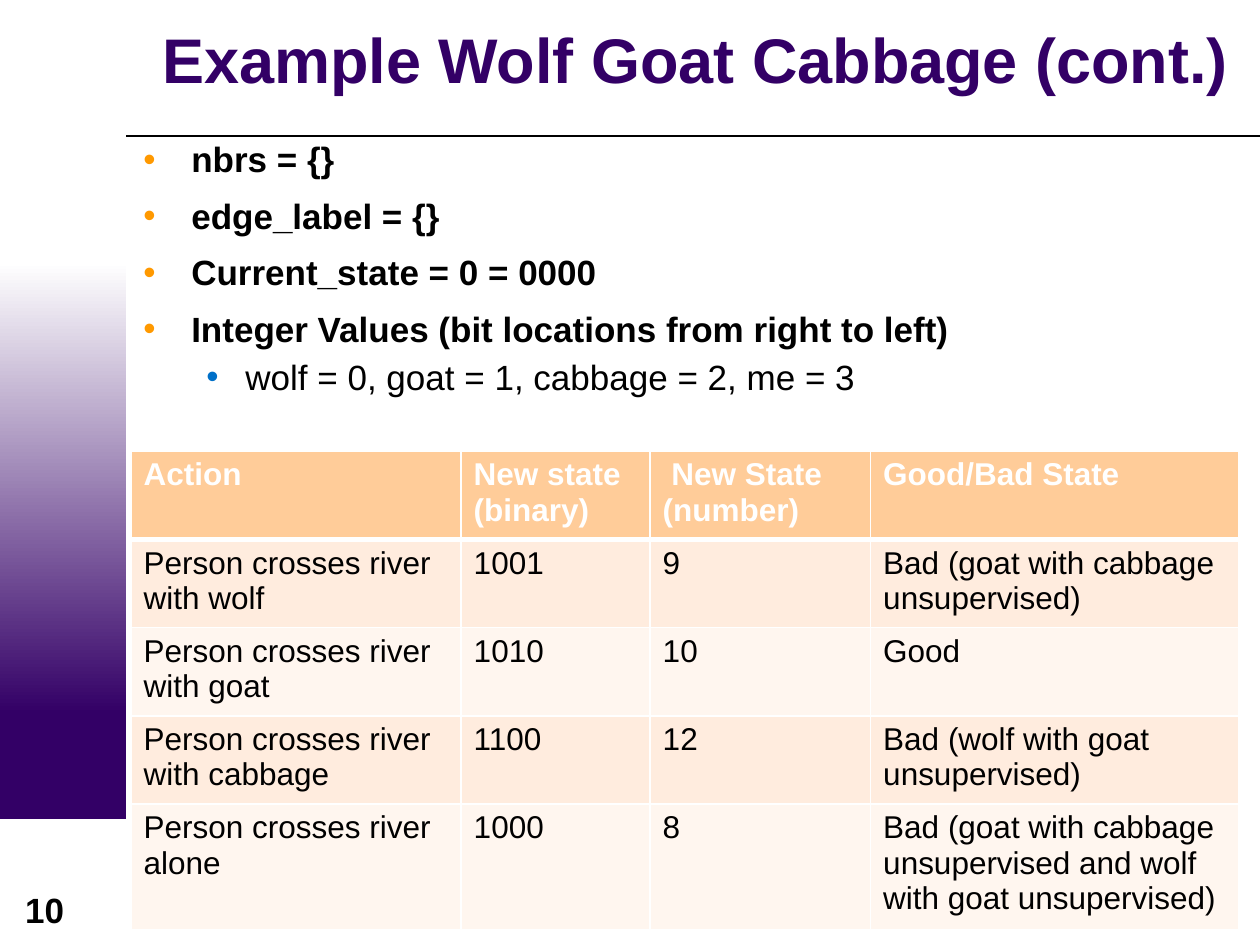
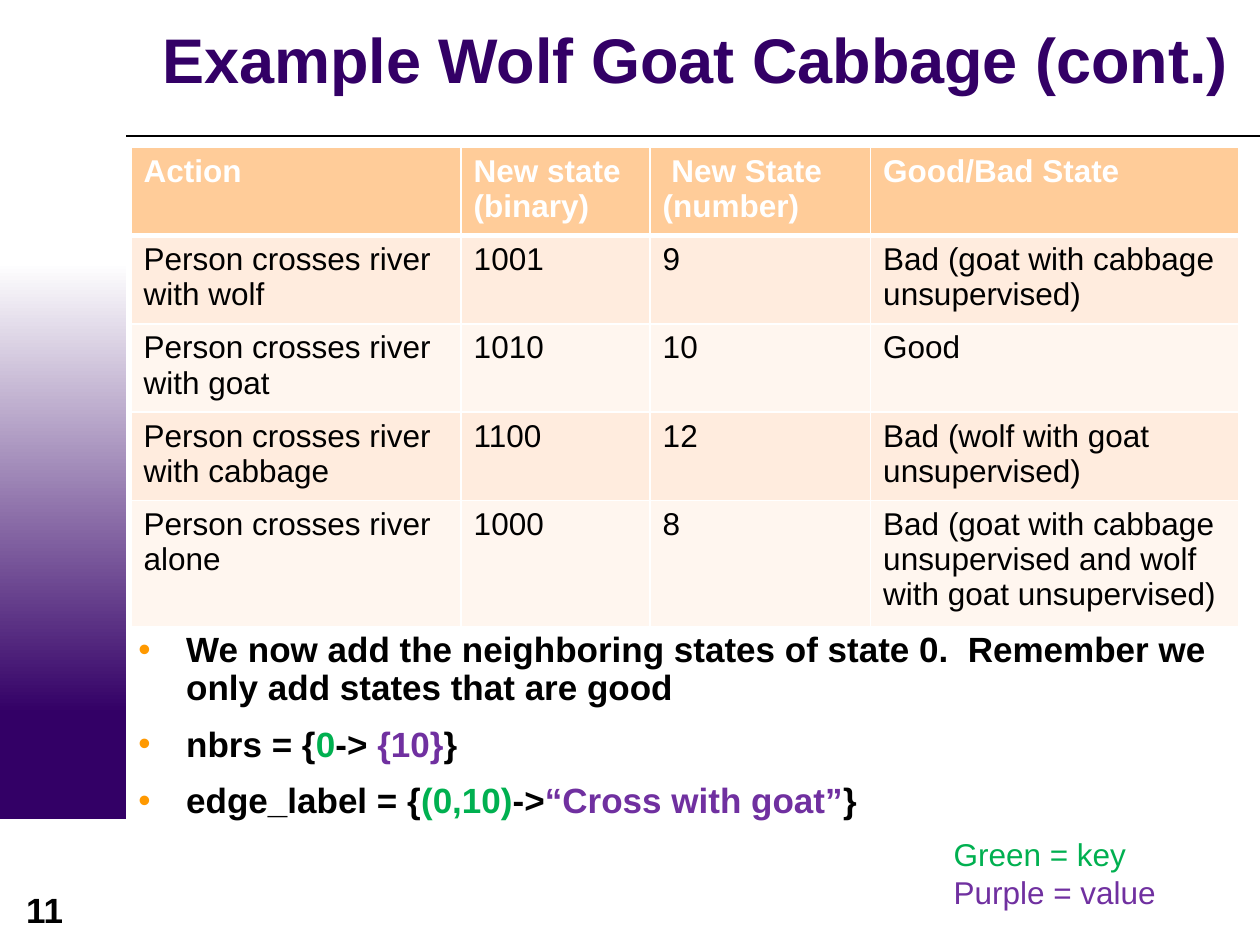
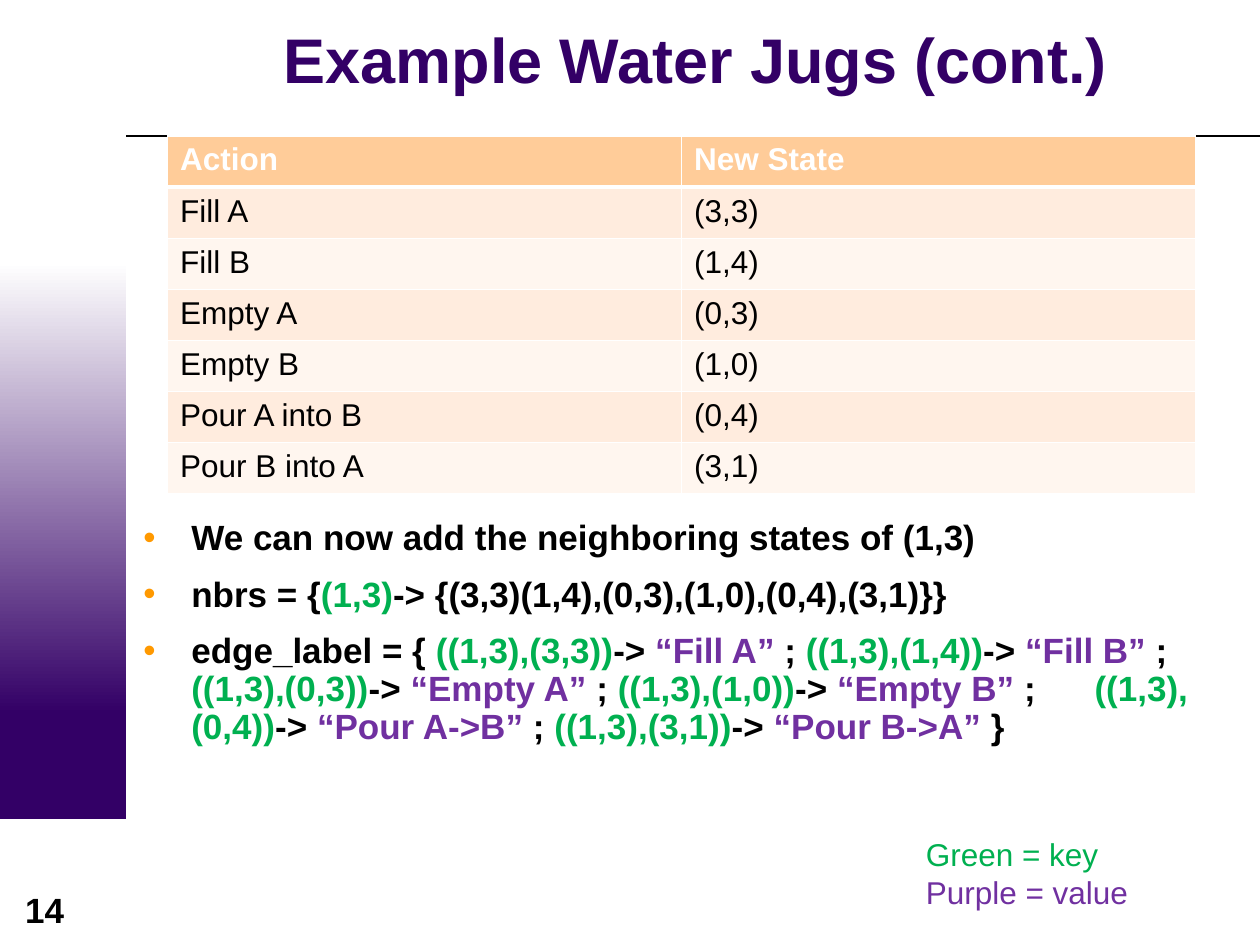
from lxml.etree import SubElement
from pptx import Presentation
from pptx.dml.color import RGBColor
from pptx.enum.shapes import MSO_CONNECTOR, MSO_SHAPE
from pptx.enum.text import MSO_ANCHOR, PP_ALIGN
from pptx.oxml.ns import qn
from pptx.util import Inches, Pt

PURPLE = RGBColor(0x33, 0x00, 0x66)
WHITE = RGBColor(0xFF, 0xFF, 0xFF)
BLACK = RGBColor(0x00, 0x00, 0x00)
ORANGE = RGBColor(0xFF, 0x99, 0x00)
BLUE = RGBColor(0x00, 0x70, 0xC8)
HEADER_FILL = RGBColor(0xFF, 0xCC, 0x99)
ROW_FILLS = (RGBColor(0xFF, 0xF6, 0xEF), RGBColor(0xFF, 0xEC, 0xDE))
KEY = RGBColor(0x00, 0xB0, 0x50)
VALUE = RGBColor(0x70, 0x30, 0xA0)

FONT = "Arial"
ROW_HEIGHT = 2.84 / 7
CROSSING_COLUMNS = (2.62, 1.5, 1.75, 2.92)
JUG_COLUMNS = (4.08, 4.08)

CROSSINGS = (
    ("Action", "New state (binary)", " New State (number)", "Good/Bad State"),
    ("Person crosses river with wolf", "1001", "9", "Bad (goat with cabbage unsupervised)"),
    ("Person crosses river with goat", "1010", "10", "Good"),
    ("Person crosses river with cabbage", "1100", "12", "Bad (wolf with goat unsupervised)"),
    ("Person crosses river alone", "1000", "8",
     "Bad (goat with cabbage unsupervised and wolf with goat unsupervised)"),
)
JUG_MOVES = (
    ("Action", "New State"),
    ("Fill A", "(3,3)"),
    ("Fill B", "(1,4)"),
    ("Empty A", "(0,3)"),
    ("Empty B", "(1,0)"),
    ("Pour A into B", "(0,4)"),
    ("Pour B into A", "(3,1)"),
)


class Deck:
    def __init__(self):
        self.presentation = Presentation()
        self.presentation.slide_width = Inches(10)
        self.presentation.slide_height = Inches(7.5)
        self.slide = None

    def new_slide(self, title, number):
        self.slide = self.presentation.slides.add_slide(self.presentation.slide_layouts[6])
        self.band(5.5, 1).solid()
        self.slide.shapes[-1].fill.fore_color.rgb = PURPLE
        fade = self.band(2.08, 3.58)
        fade.gradient()
        fade.gradient_angle = 270
        for stop, color, position in zip(fade.gradient_stops, (WHITE, PURPLE), (0, 1)):
            stop.color.rgb = color
            stop.position = position
        self.rule(1, 10, 1.08)
        number_frame = self.text_frame(-0.02, 7, 0.75, 0.44)
        number_frame.paragraphs[0].alignment = PP_ALIGN.CENTER
        self.run(number_frame.paragraphs[0], str(number), 20, BLACK, True)
        self.title(title)

    def band(self, top, height):
        band = self.slide.shapes.add_shape(
            MSO_SHAPE.RECTANGLE, Inches(0), Inches(top), Inches(1), Inches(height))
        band.shadow.inherit = False
        band.line.fill.background()
        return band.fill

    def rule(self, left, right, top):
        rule = self.slide.shapes.add_connector(
            MSO_CONNECTOR.STRAIGHT, Inches(left), Inches(top), Inches(right), Inches(top))
        rule.line.color.rgb = BLACK
        rule.line.width = Pt(0.75)
        SubElement(rule._element.spPr, qn("a:effectLst"))

    def text_frame(self, left, top, width, height):
        frame = self.slide.shapes.add_textbox(
            Inches(left), Inches(top), Inches(width), Inches(height)).text_frame
        frame.word_wrap = True
        return frame

    def run(self, paragraph, text, size, color, bold=False, tracking=0):
        run = paragraph.add_run()
        run.text = text
        run.font.name = FONT
        run.font.size = Pt(size)
        run.font.bold = bold
        run.font.color.rgb = color
        if tracking:
            run.font._element.set("spc", str(tracking * 100))

    def title(self, text):
        frame = self.text_frame(1.04, 0.03, 8.96, 0.96)
        frame.vertical_anchor = MSO_ANCHOR.MIDDLE
        frame.margin_top = frame.margin_bottom = Inches(0)
        paragraph = frame.paragraphs[0]
        paragraph.alignment = PP_ALIGN.CENTER
        paragraph.line_spacing = 0.85
        self.run(paragraph, text, 36, PURPLE, True)

    def body(self, left, top, width, items, details=()):
        frame = self.text_frame(left, top, width, 7.5 - top)
        for runs in items:
            paragraph = self.bullet(frame, 0.38, 0.38, ORANGE, 5)
            for text, color, *tracking in runs:
                self.run(paragraph, text, 20, color, True, *tracking)
        for text in details:
            paragraph = self.bullet(frame, 0.81, 0.31, BLUE, 0)
            paragraph.level = 1
            self.run(paragraph, text, 20, BLACK)

    def bullet(self, frame, margin, hanging, color, space_before):
        first = frame.paragraphs[0]
        paragraph = frame.add_paragraph() if first.runs else first
        paragraph.line_spacing = 0.9
        paragraph.space_before = Pt(space_before)
        paragraph.space_after = Pt(5.75)
        properties = paragraph._p.get_or_add_pPr()
        properties.set("marL", str(Inches(margin)))
        properties.set("indent", str(-Inches(hanging)))
        bullet_color = SubElement(properties, qn("a:buClr"))
        SubElement(bullet_color, qn("a:srgbClr"), val=str(color))
        SubElement(properties, qn("a:buFont"), typeface=FONT)
        SubElement(properties, qn("a:buChar"), char="•")
        return paragraph

    def table(self, left, top, columns, rows):
        table = self.slide.shapes.add_table(
            len(rows), len(columns), Inches(left), Inches(top),
            Inches(sum(columns)), Inches(ROW_HEIGHT * len(rows))).table
        table.horz_banding = False
        for column, width in zip(table.columns, columns):
            column.width = Inches(width)
        for r, row in enumerate(rows):
            table.rows[r].height = Inches(ROW_HEIGHT)
            header = r == 0
            for c, text in enumerate(row):
                cell = table.cell(r, c)
                cell.fill.solid()
                cell.fill.fore_color.rgb = HEADER_FILL if header else ROW_FILLS[r % 2]
                self.run(cell.text_frame.paragraphs[0], text, 18,
                         WHITE if header else BLACK, header)
                self.borders(cell, 3 if r == 1 else 1, 3 if header else 1)

    def borders(self, cell, top, bottom):
        properties = cell._tc.get_or_add_tcPr()
        sides = (("L", 1), ("R", 1), ("T", top), ("B", bottom))
        for position, (side, width) in enumerate(sides):
            border = SubElement(properties, qn(f"a:ln{side}"), w=str(Pt(width)))
            fill = SubElement(border, qn("a:solidFill"))
            SubElement(fill, qn("a:srgbClr"), val=str(WHITE))
            properties.insert(position, border)

    def legend(self, left):
        frame = self.text_frame(left, 6.58, 2.5, 0.71)
        self.run(frame.paragraphs[0], "Green = key", 18, KEY)
        self.run(frame.add_paragraph(), "Purple = value", 18, VALUE)


def jug_edge_labels():
    runs = [("edge_label = { ", BLACK)]
    moves = JUG_MOVES[1:]
    for action, state in moves:
        label = action.replace(" into ", "->")
        runs += [(f"((1,3),{state})", KEY), ("-> ", BLACK), (f"“{label}” ", VALUE)]
        if action == "Empty B":
            runs += [(";", BLACK), (" ", BLACK, 28)]
        elif (action, state) != moves[-1]:
            runs.append(("; ", BLACK))
    return runs + [("}", BLACK)]


def main():
    deck = Deck()

    deck.new_slide("Example Wolf Goat Cabbage (cont.)", 10)
    deck.body(1.04, 1.08, 8.96, (
        [("nbrs = {}", BLACK)],
        [("edge_label = {}", BLACK)],
        [("Current_state = 0 = 0000", BLACK)],
        [("Integer Values (bit locations from right to left)", BLACK)],
    ), ("wolf = 0, goat = 1, cabbage = 2, me = 3",))
    deck.table(1.04, 3.58, CROSSING_COLUMNS, CROSSINGS)

    deck.new_slide("Example Wolf Goat Cabbage (cont.)", 11)
    deck.body(1, 4.97, 9, (
        [("We now add the neighboring states of state 0.  "
          "Remember we only add states that are good", BLACK)],
        [("nbrs = {", BLACK), ("0", KEY), ("-> ", BLACK), ("{10}", VALUE), ("}", BLACK)],
        [("edge_label = {", BLACK), ("(0,10)", KEY), ("->", BLACK),
         ("“Cross with goat”", VALUE), ("}", BLACK)],
    ))
    deck.table(1.04, 1.17, CROSSING_COLUMNS, CROSSINGS)
    deck.legend(7.47)

    deck.new_slide("Example Water Jugs (cont.)", 14)
    deck.body(1.04, 4.08, 8.88, (
        [("We can now add the neighboring states of (1,3)", BLACK)],
        [("nbrs = {", BLACK), ("(1,3)", KEY),
         ("-> {(3,3)(1,4),(0,3),(1,0),(0,4),(3,1)}}", BLACK)],
        jug_edge_labels(),
    ))
    deck.table(1.33, 1.08, JUG_COLUMNS, JUG_MOVES)
    deck.legend(7.25)

    deck.presentation.save("out.pptx")


if __name__ == "__main__":
    main()
